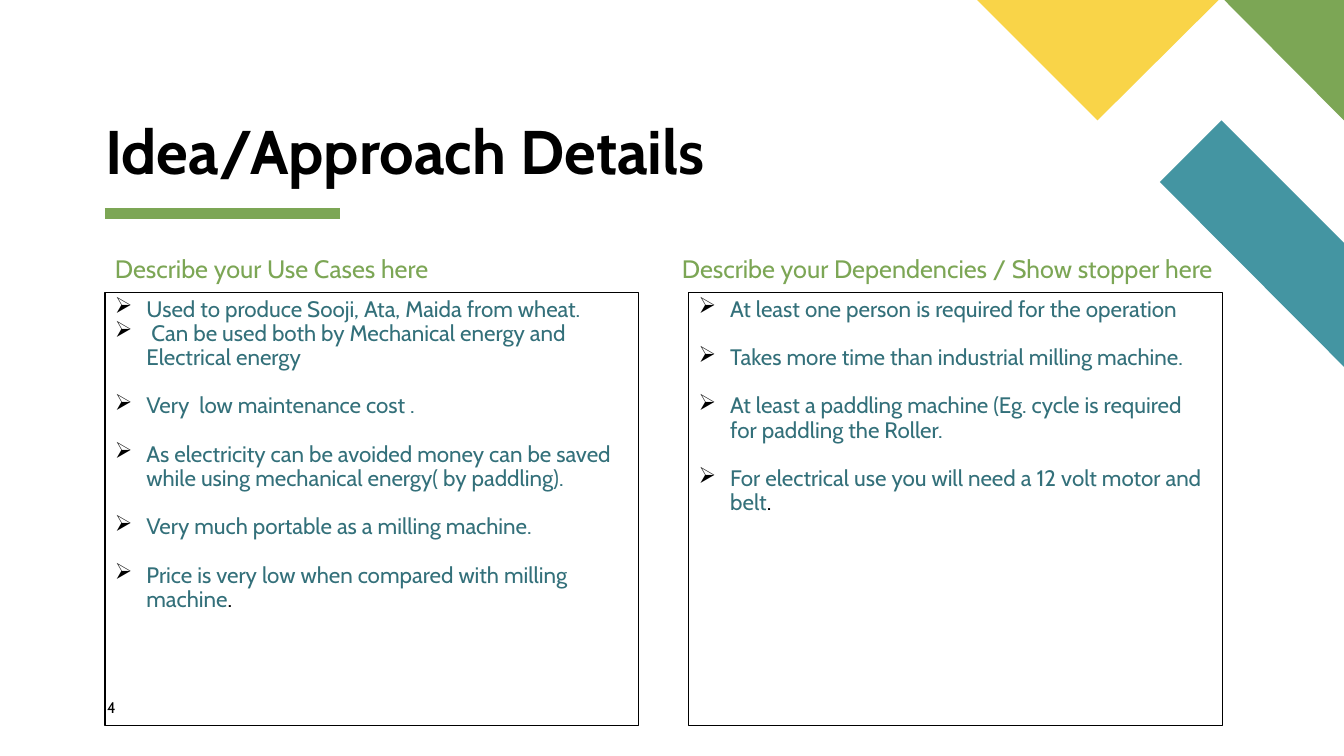
from lxml import etree
from pptx import Presentation
from pptx import util as u
from pptx.dml.color import RGBColor
from pptx.enum import shapes, text
from pptx.oxml.ns import qn

FONT = "Cabin"
BULLET = "➢"
BLACK, GREEN, TEAL, YELLOW, DARK_TEAL = "000000", "7CA655", "4495A2", "F9D448", "33707A"
LINE_GAP = 17.25

TITLE = "Idea/Approach Details"
PAGE_NUMBER = "4"
COLUMNS = [
    {
        "heading": "Describe your Use Cases here",
        "heading_left": 75, "heading_width": 381, "box_left": 75,
        "items": [
            ("Used to produce Sooji, Ata, Maida from wheat.", "", 0),
            (" Can be used both by Mechanical energy and Electrical energy", "", 0),
            ("Very  low maintenance cost .", "", LINE_GAP),
            ("As electricity can be avoided money can be saved while using "
             "mechanical energy( by paddling).", "", LINE_GAP),
            ("Very much portable as a milling machine.", "", LINE_GAP),
            ("Price is very low when compared with milling machine", ".", LINE_GAP),
        ],
    },
    {
        "heading": "Describe your Dependencies / Show stopper here",
        "heading_left": 480, "heading_width": 405, "box_left": 492,
        "items": [
            ("At least one person is required for the operation", "", 0),
            ("Takes more time than industrial milling machine.", "", LINE_GAP),
            ("At least a paddling machine (Eg. cycle is required for paddling "
             "the Roller.", "", LINE_GAP),
            ("For electrical use you will need a 12 volt motor and belt", ".", LINE_GAP),
        ],
    },
]
CORNER_PIECES = [
    (TEAL, [(960, 262), (960, 173.5), (872.5, 86), (828.5, 130)]),
    (GREEN, [(960, 86), (960, 0), (874.5, 0)]),
    (YELLOW, [(698, 0), (784, 86), (870.5, 0)]),
]


def color(value):
    return RGBColor.from_string(value)


def points(*lengths):
    return [u.Pt(length) for length in lengths]


def prepare_frame(shape, inset=(7.2, 3.6), anchor=text.MSO_ANCHOR.TOP):
    frame = shape.text_frame
    frame.word_wrap = True
    frame.vertical_anchor = anchor
    frame.margin_left = frame.margin_right = u.Pt(inset[0])
    frame.margin_top = frame.margin_bottom = u.Pt(inset[1])
    return frame


def write(paragraph, words, size=16, fill=BLACK, bold=False, spacing=0.9):
    paragraph.alignment = text.PP_ALIGN.LEFT
    paragraph.line_spacing = spacing
    run = paragraph.add_run()
    run.text = words
    run.font.name = FONT
    run.font.size = u.Pt(size)
    run.font.bold = bold
    run.font.color.rgb = color(fill)


def add_label(words, box, inset=(0, 0), anchor=text.MSO_ANCHOR.TOP, **style):
    label = slide.shapes.add_textbox(*points(*box))
    write(prepare_frame(label, inset, anchor).paragraphs[0], words, **style)


def set_bullet(paragraph, indent=22.5):
    properties = paragraph._p.get_or_add_pPr()
    properties.set("marL", str(u.Pt(indent)))
    properties.set("indent", str(-u.Pt(indent)))
    bullet_color = etree.SubElement(properties, qn("a:buClr"))
    etree.SubElement(bullet_color, qn("a:srgbClr"), val=BLACK)
    etree.SubElement(properties, qn("a:buChar"), char=BULLET)


def add_column(column):
    add_label(column["heading"], (column["heading_left"], 180, column["heading_width"], 25.5),
              inset=(7.2, 3.6), size=18, fill=GREEN)
    box = slide.shapes.add_shape(shapes.MSO_SHAPE.RECTANGLE,
                                 *points(column["box_left"], 209.2, 381, 309))
    box.shadow.inherit = False
    box.fill.background()
    box.line.color.rgb = color(BLACK)
    box.line.width = u.Pt(0.75)
    frame = prepare_frame(box)
    for index, (words, ending, gap) in enumerate(column["items"]):
        paragraph = frame.add_paragraph() if index else frame.paragraphs[0]
        write(paragraph, words, fill=DARK_TEAL)
        if ending:
            write(paragraph, ending)
        paragraph.space_before = u.Pt(gap)
        set_bullet(paragraph)


def add_corner_piece(fill, corners):
    vertices = [tuple(points(*corner)) for corner in corners]
    builder = slide.shapes.build_freeform(*vertices[0])
    builder.add_line_segments(vertices[1:], close=True)
    piece = builder.convert_to_shape()
    piece.shadow.inherit = False
    piece.fill.solid()
    piece.fill.fore_color.rgb = color(fill)
    piece.line.fill.background()


presentation = Presentation()
presentation.slide_width, presentation.slide_height = points(960, 540)
slide = presentation.slides.add_slide(presentation.slide_layouts[6])

underline = slide.shapes.add_connector(shapes.MSO_CONNECTOR.STRAIGHT,
                                       *points(75, 152.75, 243, 152.75))
underline.line.color.rgb = color(GREEN)
underline.line.width = u.Pt(8)
etree.SubElement(underline._element.spPr, qn("a:effectLst"))

for fill, corners in CORNER_PIECES:
    add_corner_piece(fill, corners)
add_label(TITLE, (75, 86, 455, 48), anchor=text.MSO_ANCHOR.BOTTOM, size=44, bold=True)
for column in COLUMNS:
    add_column(column)
add_label(PAGE_NUMBER, (76.5, 498.5, 41, 19.5), size=11, spacing=1.0)

presentation.save("out.pptx")
